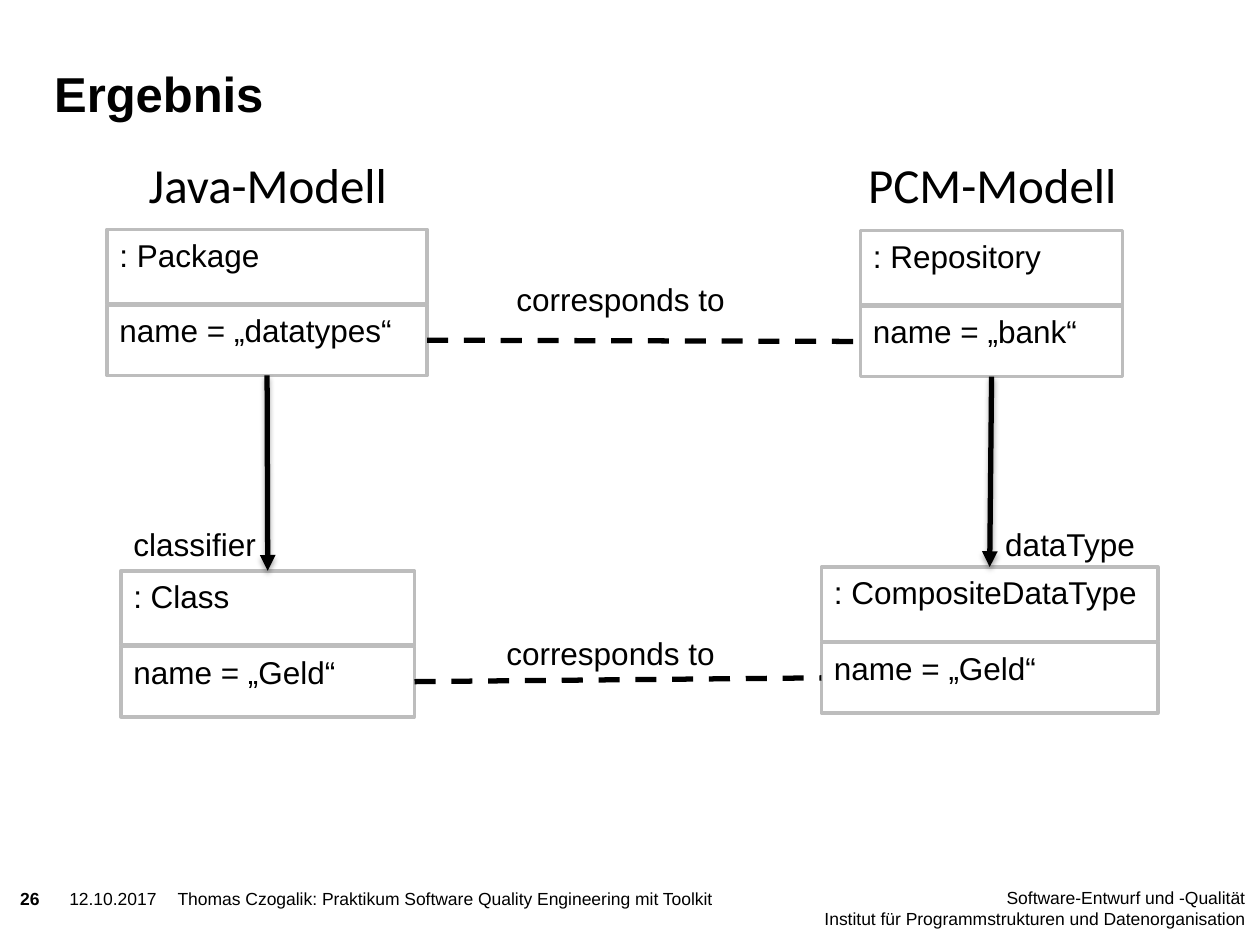
from dataclasses import dataclass

from lxml import etree
from pptx import Presentation, util as u
from pptx.dml.color import RGBColor
from pptx.enum import dml, shapes, text
from pptx.oxml import ns

COLS, ROWS = 100, 75


@dataclass(frozen=True)
class Theme:
    """Colours, fonts and type sizes of the slide."""
    ink: RGBColor = RGBColor(0, 0, 0)
    paper: RGBColor = RGBColor(255, 255, 255)
    frame: RGBColor = RGBColor(0xBD, 0xBD, 0xBD)
    body: str = "Arial"
    head: str = "Calibri"
    big: int = 28
    mid: int = 18
    small: int = 10


T = Theme()
prs = Presentation()
prs.slide_width, prs.slide_height = u.Inches(10), u.Inches(7.5)


def place(box, col, row, w, h):
    """Return slide lengths of a cell range counted from the box corner."""
    x, y = prs.slide_width / COLS, prs.slide_height / ROWS
    return [round(v) for v in ((box[0] + col) * x, (box[1] + row) * y, w * x, h * y)]


def write(sp, lines, size, font=T.body, bold=False, align=text.PP_ALIGN.LEFT,
          anchor=text.MSO_ANCHOR.TOP, inset=None, wrap=True):
    """Fill a shape with formatted lines of text."""
    tf = sp.text_frame
    tf.word_wrap, tf.vertical_anchor = wrap, anchor
    if inset is not None:
        tf.margin_left = tf.margin_right = tf.margin_top = tf.margin_bottom = inset
    p = tf.paragraphs[0]
    p.alignment = align
    for i, line in enumerate(lines):
        if i:
            p.add_line_break()
        r = p.add_run()
        r.text = line
        r.font.size, r.font.name, r.font.bold = u.Pt(size), font, bold
        r.font.color.rgb = T.ink


def label(s, cells, lines, size=T.mid, **style):
    """Add a text box."""
    write(s.shapes.add_textbox(*cells), lines, size, **style)


def uml_object(s, box, width, rows):
    """Add a grouped object of name and attribute cells and return both."""
    group = s.shapes.add_group_shape()
    parts = []
    for line, row, h in zip(rows, (0, 6), (5.9, 5.6)):
        sp = group.shapes.add_shape(shapes.MSO_SHAPE.RECTANGLE,
                                    *place(box, 0, row, width, h))
        sp.shadow.inherit = False
        sp.fill.solid()
        sp.fill.fore_color.rgb = T.paper
        sp.line.color.rgb, sp.line.width = T.frame, u.Pt(2)
        write(sp, [line], T.mid)
        parts.append(sp)
    return parts


def link(s, start, end, sites, arrow=False):
    """Connect two cells with a dashed line or a shadowed arrow."""
    c = s.shapes.add_connector(shapes.MSO_CONNECTOR.STRAIGHT, 0, 0, 0, 0)
    c.begin_connect(start, sites[0])
    c.end_connect(end, sites[1])
    c.line.color.rgb, c.line.width = T.ink, u.Pt(3)
    spPr = c._element.spPr
    effects = etree.SubElement(spPr, ns.qn("a:effectLst"))
    if not arrow:
        c.line.dash_style = dml.MSO_LINE.DASH
        return
    etree.SubElement(spPr.find(ns.qn("a:ln")), ns.qn("a:tailEnd"), type="triangle")
    shadow = etree.SubElement(effects, ns.qn("a:outerShdw"), blurRad=str(u.Pt(3.1)),
                              dist=str(u.Pt(1.8)), dir="5400000", rotWithShape="0")
    colour = etree.SubElement(shadow, ns.qn("a:srgbClr"), val=str(T.ink))
    etree.SubElement(colour, ns.qn("a:alpha"), val="35000")


def model(s, box, name, objects, role):
    """Add a model column and return the attribute cells of its objects."""
    label(s, place(box, 0, 0, 27.5, 5.7), [name], T.big, font=T.head,
          align=text.PP_ALIGN.CENTER)
    upper, lower = [uml_object(s, (box[0] + col, box[1] + row), width, rows)
                    for col, row, width, rows in objects]
    link(s, upper[1], lower[0], (2, 0), arrow=True)
    col, width, caption, wrap = role
    label(s, place(box, col, 29.4, width, 4), [caption], wrap=wrap)
    return upper[1], lower[1]


def diagram(s, box):
    """Add both models and the correspondences between them."""
    x, y = box
    java = model(s, (x, y), "Java-Modell",
                 [(1, 6.4, 25.4, (": Package", "name = „datatypes“")),
                  (2.1, 33.5, 23.3, (": Class", "name = „Geld“"))],
                 (2.1, 11.8, "classifier", False))
    pcm = model(s, (x + 57.5, y), "PCM-Modell",
                [(3.3, 6.5, 20.8, (": Repository", "name = „bank“")),
                 (0.2, 33.2, 26.7, (": CompositeDataType", "name = „Geld“"))],
                (13.8, 13.3, "dataType", True))
    for left, right, col, row in zip(java, pcm, (32.5, 31.7), (9.9, 38)):
        link(s, left, right, (3, 1))
        label(s, place(box, col, row, 20, 4), ["corresponds to"])


def header(s, box):
    """Place the title in its placeholder."""
    sp = s.shapes.title
    sp.left, sp.top, sp.width, sp.height = place(box, 0, 0, 75.6, 6.1)
    write(sp, ["Ergebnis"], T.big, bold=True, anchor=text.MSO_ANCHOR.BOTTOM, inset=0)


def footer(s, box):
    """Add page number, date, talk and institute."""
    for col, w, line, bold in (
            (0, 3.6, "26", True), (3.9, 9.4, "12.10.2017", False),
            (12.5, 49.7, "Thomas Czogalik: Praktikum Software Quality "
                         "Engineering mit Toolkit", False)):
        label(s, place(box, col, 0, w, 3.9), [line], T.small, bold=bold, inset=0)
    label(s, place(box, 62.4, -0.1, 34.8, 3.9),
          ["Software-Entwurf und -Qualität",
           "Institut für Programmstrukturen und Datenorganisation"],
          T.small, align=text.PP_ALIGN.RIGHT, inset=0)


s = prs.slides.add_slide(prs.slide_layouts.get_by_name("Title Only"))
header(s, (4.3, 3.6))
diagram(s, (7.5, 11.8))
footer(s, (1.6, 70.5))
prs.save("out.pptx")
